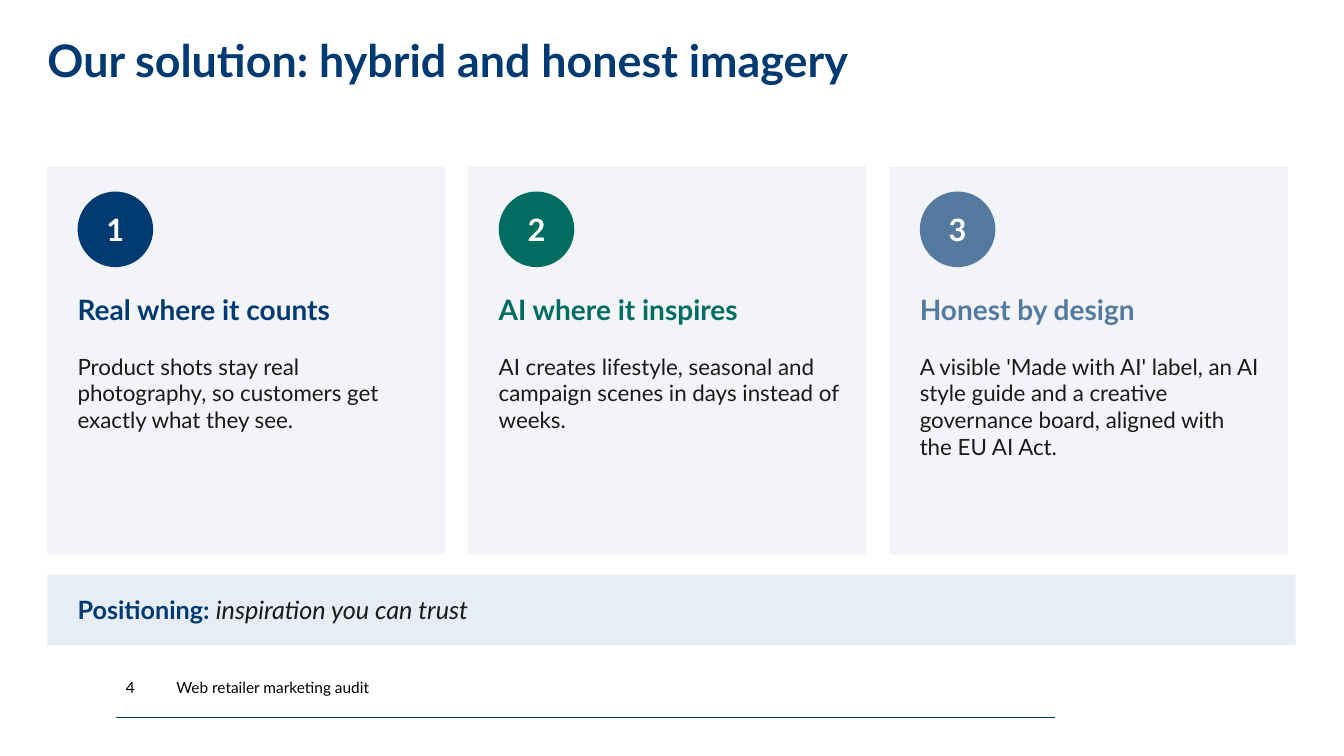
from pptx import Presentation
from pptx.dml.color import RGBColor
from pptx.enum.shapes import MSO_CONNECTOR, MSO_SHAPE
from pptx.enum.text import MSO_ANCHOR, PP_ALIGN
from pptx.oxml.ns import qn
from pptx.util import Pt
from lxml import etree

RECTANGLE, OVAL = MSO_SHAPE.RECTANGLE, MSO_SHAPE.OVAL
STRAIGHT = MSO_CONNECTOR.STRAIGHT
TOP, MIDDLE = MSO_ANCHOR.TOP, MSO_ANCHOR.MIDDLE
LEFT, CENTER = PP_ALIGN.LEFT, PP_ALIGN.CENTER

NAVY = RGBColor(0x00, 0x3A, 0x70)
GREEN = RGBColor(0x01, 0x6D, 0x61)
STEEL = RGBColor(0x54, 0x7A, 0x9F)
INK = RGBColor(0x1A, 0x1A, 0x1A)
BLACK = RGBColor(0x00, 0x00, 0x00)
WHITE = RGBColor(0xFF, 0xFF, 0xFF)
CARD_FILL = RGBColor(0xF2, 0xF4, 0xF8)
BAND_FILL = RGBColor(0xE6, 0xED, 0xF5)

MARGIN = 33.84
CONTENT_WIDTH = 892.08
CARD_TOP, CARD_WIDTH, CARD_HEIGHT = 118.8, 284.4, 277.2
CARD_PITCH = 300.96
PADDING = 21.6
TEXT_WIDTH = 244.8

deck = Presentation()
deck.slide_width, deck.slide_height = Pt(960.48), Pt(540)
page = deck.slides.add_slide(deck.slide_layouts[6])


def add_block(kind, left, top, width, height, fill):
    block = page.shapes.add_shape(kind, Pt(left), Pt(top), Pt(width), Pt(height))
    block.shadow.inherit = False
    block.fill.solid()
    block.fill.fore_color.rgb = fill
    block.line.fill.background()
    return block


def write(text, size, color, place, bold=False, anchor=MIDDLE, inset=0, align=LEFT):
    """Write into a shape, or into a new text box at (left, top, width, height)."""
    if isinstance(place, tuple):
        place = page.shapes.add_textbox(*map(Pt, place))
    frame = place.text_frame
    frame.word_wrap = True
    frame.vertical_anchor = anchor
    frame.margin_left = frame.margin_right = 0
    frame.margin_top = frame.margin_bottom = Pt(inset)
    para = frame.paragraphs[0]
    para.text = text
    para.alignment = align
    para.font.name, para.font.size, para.font.bold = "Lato", Pt(size), bold
    para.font.color.rgb = color
    return para


# Footer rule, page number and footer text
rule = page.shapes.add_connector(STRAIGHT, Pt(82.8), Pt(512.64), Pt(753.84), Pt(512.64))
rule.line.color.rgb = NAVY
rule.line.width = Pt(0.5)
etree.SubElement(rule.element.spPr, qn("a:effectLst"))
write("4", 11, BLACK, (90, 476.64, 36, 28.8))
write("Web retailer marketing audit", 11, BLACK, (126, 476.64, 288, 28.8))

# Title
title = write("Our solution: hybrid and honest imagery", 32, NAVY,
              (MARGIN, 0, CONTENT_WIDTH, 90), bold=True)
title.line_spacing = 0.9

# Three numbered cards
cards = [
    (NAVY, "Real where it counts",
     "Product shots stay real photography, so customers get exactly what they see."),
    (GREEN, "AI where it inspires",
     "AI creates lifestyle, seasonal and campaign scenes in days instead of weeks."),
    (STEEL, "Honest by design",
     "A visible 'Made with AI' label, an AI style guide and a creative "
     "governance board, aligned with the EU AI Act."),
]
for index, (color, heading, body) in enumerate(cards):
    card_left = MARGIN + index * CARD_PITCH
    text_left = card_left + PADDING
    add_block(RECTANGLE, card_left, CARD_TOP, CARD_WIDTH, CARD_HEIGHT, CARD_FILL)
    badge = add_block(OVAL, text_left, 136.8, 54, 54, color)
    write(str(index + 1), 22, WHITE, badge, bold=True, align=CENTER)
    write(heading, 20, color, (text_left, 205.2, TEXT_WIDTH, 43.2),
          bold=True, anchor=TOP, inset=3.6)
    write(body, 16, INK, (text_left, 248.4, TEXT_WIDTH, 140.4), anchor=TOP, inset=3.6)

# Positioning band
band = add_block(RECTANGLE, MARGIN, 410.4, CONTENT_WIDTH, 50.4, BAND_FILL)
positioning = write("Positioning: ", 18, NAVY, band, bold=True)
band.text_frame.margin_left = band.text_frame.margin_right = Pt(PADDING)
span = positioning.add_run()
span.text = "inspiration you can trust"
span.font.bold, span.font.italic = False, True
span.font.color.rgb = INK

deck.save("out.pptx")
